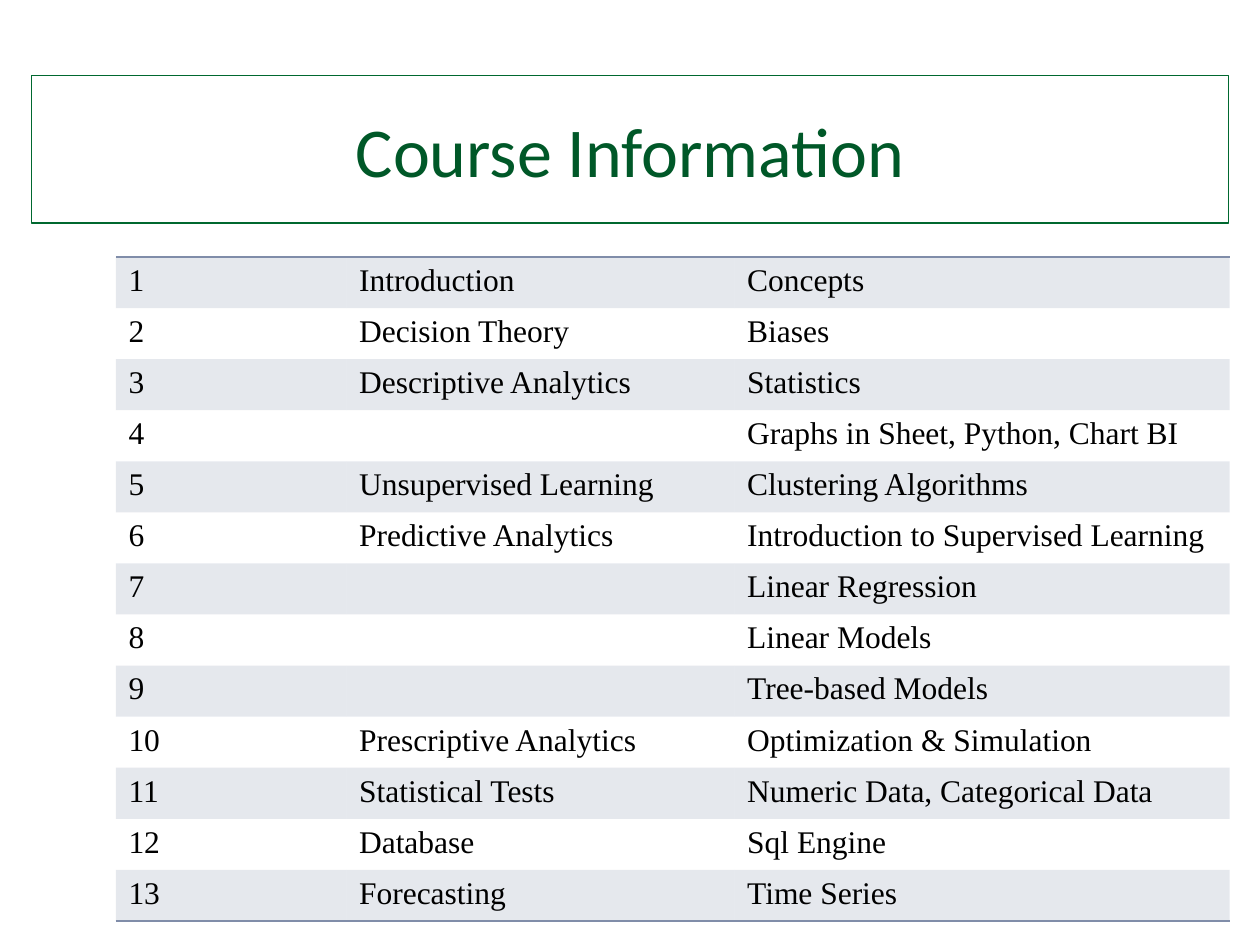
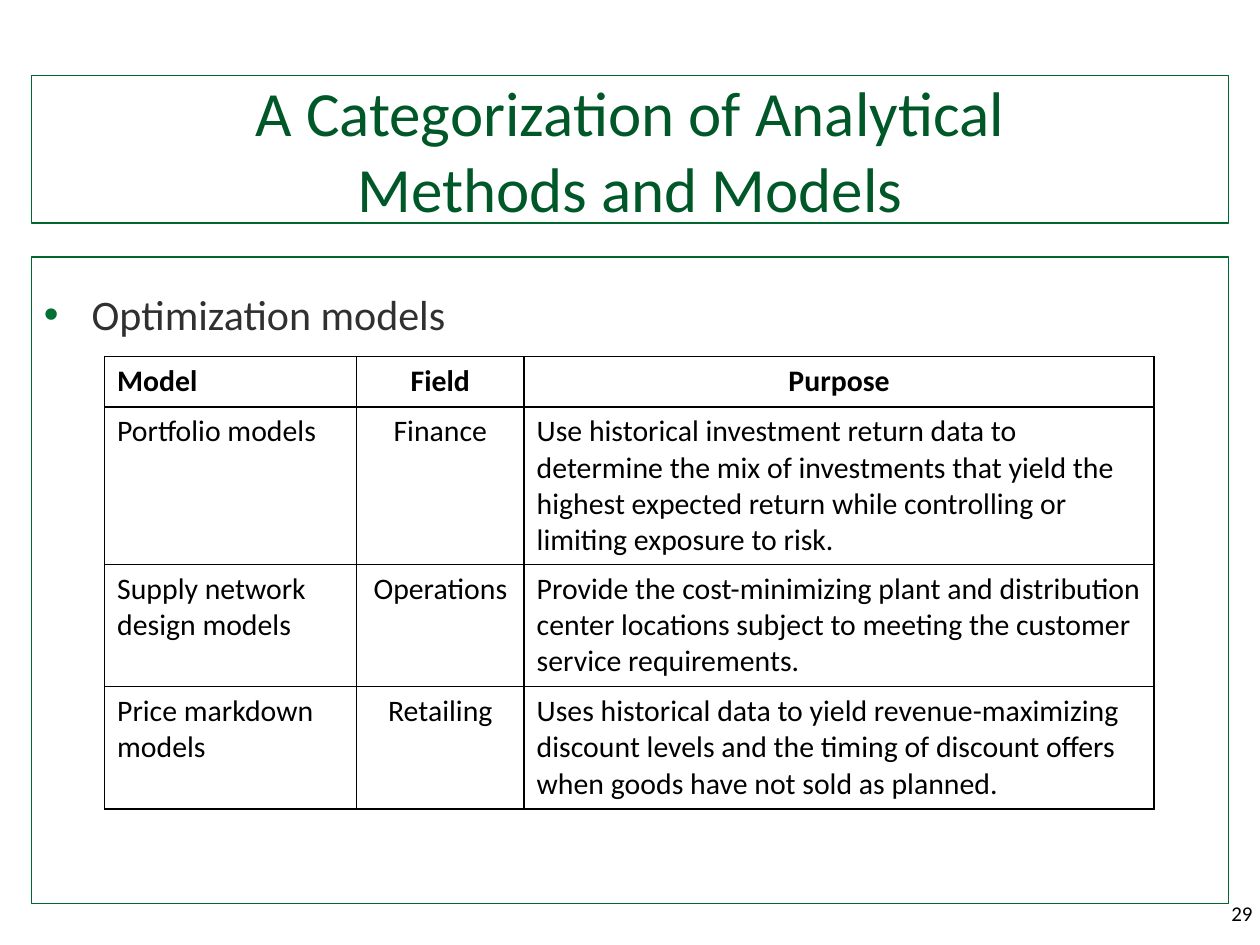
import pptx
import pptx.util
import pptx.dml.color
import pptx.enum.shapes
import pptx.enum.text
import pptx.oxml
import pptx.oxml.ns
from lxml import etree

Inches, Pt = pptx.util.Inches, pptx.util.Pt
RGBColor = pptx.dml.color.RGBColor
PP_ALIGN = pptx.enum.text.PP_ALIGN
qn = pptx.oxml.ns.qn

FRAME_GREEN = RGBColor(0x00, 0x68, 0x2F)
TITLE_GREEN = RGBColor(0x00, 0x58, 0x28)
BULLET_GREEN = RGBColor(0x00, 0x70, 0x33)
BODY_GREY = RGBColor(0x30, 0x30, 0x30)
BAND_BLUE = RGBColor(0x80, 0x8D, 0xA9)
BLACK = RGBColor(0x00, 0x00, 0x00)

SANS, SERIF = "Calibri", "Times New Roman"
PLAIN_TABLE_STYLE = "{2D5ABB26-0587-4C30-8999-92F81FD0307C}"

TITLE_BOX = (0.25, 0.6, 9.5, 1.17)
BODY_BOX = (0.25, 2.04, 9.5, 5.13)
NUMBER_BOX = (9.21, 7.1, 0.83, 0.4)

COURSE_TOPICS = [
    ("Introduction", "Concepts"),
    ("Decision Theory", "Biases"),
    ("Descriptive Analytics", "Statistics"),
    ("", "Graphs in Sheet, Python, Chart BI"),
    ("Unsupervised Learning", "Clustering Algorithms"),
    ("Predictive Analytics", "Introduction to Supervised Learning"),
    ("", "Linear Regression"),
    ("", "Linear Models"),
    ("", "Tree-based Models"),
    ("Prescriptive Analytics", "Optimization & Simulation"),
    ("Statistical Tests", "Numeric Data, Categorical Data"),
    ("Database", "Sql Engine"),
    ("Forecasting", "Time Series"),
]

OPTIMIZATION_MODELS = [
    ("Model", "Field", "Purpose"),
    ("Portfolio models", "Finance",
     "Use historical investment return data to determine the mix of investments "
     "that yield the highest expected return while controlling or limiting "
     "exposure to risk."),
    ("Supply network\ndesign models", "Operations",
     "Provide the cost-minimizing plant and distribution center locations "
     "subject to meeting the customer service requirements."),
    ("Price markdown models", "Retailing",
     "Uses historical data to yield revenue-maximizing discount levels and the "
     "timing of discount offers when goods have not sold as planned."),
]


def style_text(text_frame, font_name, size, color, bold=False, align=PP_ALIGN.LEFT):
    for paragraph in text_frame.paragraphs:
        paragraph.alignment = align
        for run in paragraph.runs:
            run.font.name = font_name
            run.font.size = Pt(size)
            run.font.color.rgb = color
            run.font.bold = bold


def outline(shape):
    shape.line.color.rgb = FRAME_GREEN
    shape.line.width = Pt(0.75)


def add_titled_slide(prs, title_text, size):
    slide = prs.slides.add_slide(prs.slide_layouts[5])
    title = slide.shapes.title
    title.left, title.top, title.width, title.height = map(Inches, TITLE_BOX)
    outline(title)
    frame = title.text_frame
    frame.auto_size = pptx.enum.text.MSO_AUTO_SIZE.NONE
    frame.vertical_anchor = pptx.enum.text.MSO_ANCHOR.MIDDLE
    frame.paragraphs[0].text = title_text
    style_text(frame, SANS, size, TITLE_GREEN, align=PP_ALIGN.CENTER)
    return slide


def add_plain_table(slide, left, top, rows, column_widths, row_heights):
    """Add a filled-in table without banding or grid."""
    table = slide.shapes.add_table(
        len(rows), len(column_widths), Inches(left), Inches(top),
        Inches(sum(column_widths)), Inches(sum(row_heights))).table
    table.first_row = table.horz_banding = False
    table._tbl.tblPr.find(qn("a:tableStyleId")).text = PLAIN_TABLE_STYLE
    for column, width in zip(table.columns, column_widths):
        column.width = Inches(width)
    for table_row, height, texts in zip(table.rows, row_heights, rows):
        table_row.height = Inches(height)
        for cell, text in zip(table_row.cells, texts):
            cell.text = text
            cell.fill.background()
    return table


def add_cell_borders(cell, sides, color):
    """Draw 1 pt borders on the sides, named in the order L, R, T, B."""
    properties = cell._tc.get_or_add_tcPr()
    for position, side in enumerate(sides):
        border = pptx.oxml.parse_xml(
            f'<a:ln{side} xmlns:a="http://schemas.openxmlformats.org/drawingml/2006/main" '
            f'w="{Pt(1)}"><a:solidFill><a:srgbClr val="{color}"/></a:solidFill></a:ln{side}>')
        properties.insert(position, border)


def fill_band(cell):
    """Fill the cell with the band colour at 20 % opacity."""
    cell.fill.solid()
    cell.fill.fore_color.rgb = BAND_BLUE
    color = cell._tc.tcPr.find(qn("a:solidFill")).find(qn("a:srgbClr"))
    etree.SubElement(color, qn("a:alpha")).set("val", "20000")


def add_course_schedule(slide, left, top, width, height):
    rows = [(str(week), *topic) for week, topic in enumerate(COURSE_TOPICS, 1)]
    number_width, topic_width = 1.83, 3.08
    widths = [number_width, topic_width, width - number_width - topic_width]
    table = add_plain_table(slide, left, top, rows, widths,
                            [height / len(rows)] * len(rows))
    last = len(rows) - 1
    for index, table_row in enumerate(table.rows):
        for cell in table_row.cells:
            style_text(cell.text_frame, SERIF, 18, BLACK)
            if index % 2 == 0:
                fill_band(cell)
            if index in (0, last):
                add_cell_borders(cell, "T" if index == 0 else "B", BAND_BLUE)


def add_bullet_panel(slide, text, left, top, width, height):
    panel = slide.shapes.add_textbox(*map(Inches, (left, top, width, height)))
    outline(panel)
    frame = panel.text_frame
    frame.word_wrap = True
    frame.text = text
    style_text(frame, SANS, 24, BODY_GREY)
    paragraph = frame.paragraphs[0]
    paragraph.line_spacing = 1.5
    paragraph.space_before = paragraph.space_after = Pt(6)
    properties = paragraph._p.get_or_add_pPr()
    properties.set("marL", str(Inches(0.38)))
    properties.set("indent", str(-Inches(0.38)))
    bullet_color = etree.SubElement(properties, qn("a:buClr"))
    etree.SubElement(bullet_color, qn("a:srgbClr")).set("val", str(BULLET_GREEN))
    etree.SubElement(properties, qn("a:buFont")).set("typeface", "Arial")
    etree.SubElement(properties, qn("a:buChar")).set("char", "•")


def add_model_table(slide, left, top):
    table = add_plain_table(slide, left, top, OPTIMIZATION_MODELS,
                            [2, 1.33, 5], [0.4, 1.25, 0.97, 0.97])
    for row_index, table_row in enumerate(table.rows):
        header = row_index == 0
        for column_index, cell in enumerate(table_row.cells):
            centred = column_index == 1 or (header and column_index == 2)
            style_text(cell.text_frame, SANS, 17, BLACK, bold=header,
                       align=PP_ALIGN.CENTER if centred else PP_ALIGN.LEFT)
            add_cell_borders(cell, "LRTB", BLACK)


def add_page_number(slide, number):
    frame = slide.shapes.add_textbox(*map(Inches, NUMBER_BOX)).text_frame
    frame.word_wrap = True
    frame.text = str(number)
    style_text(frame, SANS, 12, BLACK, align=PP_ALIGN.RIGHT)


def build_course_slide(prs):
    slide = add_titled_slide(prs, "Course Information", 40)
    add_course_schedule(slide, 0.92, 2.04, 8.84, 5.27)


def build_models_slide(prs):
    slide = add_titled_slide(
        prs, "A Categorization of Analytical\nMethods and Models", 36)
    add_bullet_panel(slide, "Optimization models", *BODY_BOX)
    add_page_number(slide, 29)
    left, top = BODY_BOX[:2]
    add_model_table(slide, left + 0.58, top + 0.79)


def main():
    prs = pptx.Presentation()
    prs.slide_width, prs.slide_height = Inches(10), Inches(7.5)
    build_course_slide(prs)
    build_models_slide(prs)
    prs.save("out.pptx")


if __name__ == "__main__":
    main()
